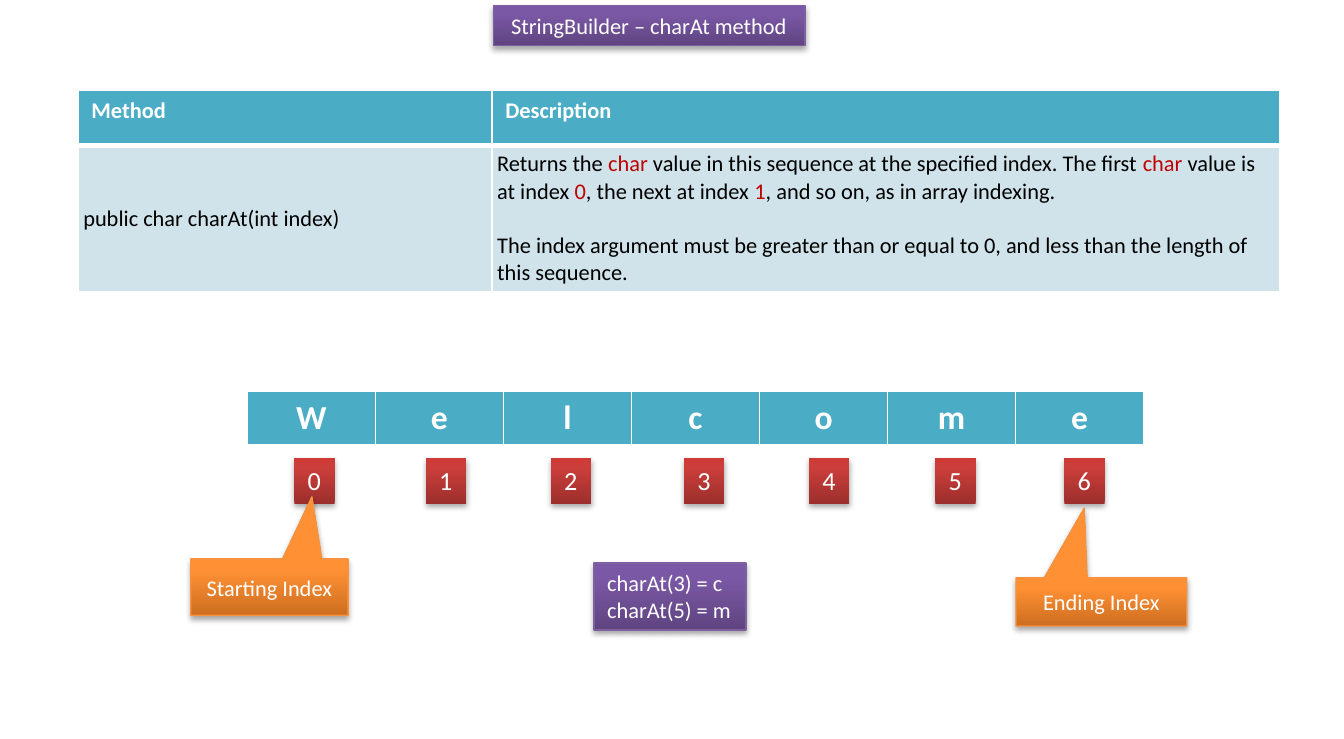
"""Build the slide that explains the charAt method of StringBuilder."""
from copy import deepcopy

from lxml.etree import fromstring
from pptx import Presentation
from pptx.dml.color import RGBColor as RGB
from pptx.enum.shapes import MSO_SHAPE as SHAPE
from pptx.enum.text import MSO_ANCHOR as ANCHOR, MSO_AUTO_SIZE as SIZE, PP_ALIGN as ALIGN
from pptx.oxml.ns import nsdecls, qn
from pptx.util import Inches, Pt

WHITE = RGB(0xFF, 0xFF, 0xFF)
BLACK = RGB(0, 0, 0)
RED = RGB(0xC0, 0, 0)
TEAL = RGB(0x4B, 0xAC, 0xC6)
PALE = RGB(0xD0, 0xE3, 0xEA)
PURPLE = [RGB(0x5F, 0x44, 0x80), RGB(0x7B, 0x58, 0xA6), RGB(0x7C, 0x57, 0xA8)]
BRICK = [RGB(0x9C, 0x2F, 0x2D), RGB(0xCB, 0x3E, 0x3A), RGB(0xCE, 0x3B, 0x37)]
ORANGE = [RGB(0xCC, 0x6E, 0x20), RGB(0xFF, 0x90, 0x34), RGB(0xFF, 0x91, 0x36)]
PURPLE_EDGE = RGB(0x7D, 0x60, 0xA0)
ORANGE_EDGE = RGB(0xF6, 0x92, 0x40)
STOPS = [0, 0.8, 1]

TITLE = "StringBuilder – charAt method"
HEADS = ["Method", "Description"]
METHOD = [["public char charAt(int index)"]]
ABOUT = [
    ["Returns the ", "char", " value in this sequence at the specified index. The first ",
     "char", " value is at index ", "0", ", the next at index ", "1",
     ", and so on, as in array indexing."],
    ["The index argument must be greater than or equal to 0, "
     "and less than the length of this sequence."],
]
WORD = "Welcome"
INDEX_X = [2.19, 3.17, 4.1, 5.09, 6.02, 6.96, 7.92]
CALLS = [["charAt(3) = c"], ["charAt(5) = m"]]
TIPS = [
    ("Starting Index", (1.42, 4.16, 1.17, 0.42), (0.27, -1.6)),
    ("Ending Index", (7.56, 4.3, 1.27, 0.36), (-0.1, -1.94)),
]

SMALL = {"name": "Calibri", "size": Pt(12), "bold": False}
HEAD = {**SMALL, "bold": True}
DIGIT = {**SMALL, "size": Pt(14)}
LETTER = {**HEAD, "size": Pt(18)}
TIGHT = {"auto_size": SIZE.SHAPE_TO_FIT_TEXT, "vertical_anchor": ANCHOR.TOP,
         "word_wrap": False}
FIXED = {"auto_size": SIZE.NONE, "vertical_anchor": ANCHOR.TOP, "word_wrap": True}
MIDDLE = {"vertical_anchor": ANCHOR.MIDDLE, "word_wrap": True}
INSET = {f"margin_{side}": Inches(0.04) for side in ("left", "top", "right", "bottom")}
BODY = {**INSET, "vertical_anchor": ANCHOR.MIDDLE}
HEAD_EDGES = {"lnL": 1, "lnR": 1, "lnT": 1, "lnB": 3}
BODY_EDGES = {"lnL": 1, "lnR": 1, "lnT": 3, "lnB": 1}

SHADOW = (f'<a:effectLst {nsdecls("a")}><a:outerShdw blurRad="40000" dist="23000" '
          'dir="5400000" rotWithShape="0"><a:srgbClr val="000000"><a:alpha val="35000"/>'
          '</a:srgbClr></a:outerShdw></a:effectLst>')


def apply(target, values):
    for key, value in values.items():
        setattr(target, key, value)


def write(frame, paras, font, color=WHITE, align=ALIGN.LEFT, gap=0):
    for i, parts in enumerate(paras):
        para = frame.add_paragraph() if i else frame.paragraphs[0]
        para.alignment = align
        if i and gap:
            para.space_before = Pt(gap)
        for j, part in enumerate(parts):
            run = para.add_run()
            run.text = part
            apply(run.font, font)
            run.font.color.rgb = RED if j % 2 else color


def paint(shape, shades, edge=None):
    fill = shape.fill
    fill.gradient()
    fill.gradient_angle = 90
    props = shape._element.spPr
    stops = props.find(".//" + qn("a:gsLst"))
    stops.append(deepcopy(stops[-1]))
    for stop, spot, shade in zip(fill.gradient_stops, STOPS, shades):
        stop.position = spot
        stop.color.rgb = shade
    if edge is None:
        shape.line.fill.background()
    else:
        shape.line.color.rgb = edge
        shape.line.width = Pt(0.75)
    props.append(fromstring(SHADOW))


def add_box(slide, kind, spot):
    return slide.shapes.add_shape(kind, *map(Inches, spot))


def add_grid(slide, spot, widths, heights):
    place = [Inches(n) for n in (*spot, sum(widths), sum(heights))]
    grid = slide.shapes.add_table(len(heights), len(widths), *place).table
    for col, width in zip(grid.columns, widths):
        col.width = Inches(width)
    for row, height in zip(grid.rows, heights):
        row.height = Inches(height)
    return grid


def fill_cell(cell, shade, edges, paras, font, **look):
    cell.fill.solid()
    cell.fill.fore_color.rgb = shade
    props = cell._tc.get_or_add_tcPr()
    for i, (tag, width) in enumerate(edges.items()):
        props.insert(i, fromstring(
            f'<a:{tag} {nsdecls("a")} w="{Pt(width)}"><a:solidFill>'
            f'<a:srgbClr val="{WHITE}"/></a:solidFill></a:{tag}>'))
    write(cell.text_frame, paras, font, **look)


def main():
    deck = Presentation()
    deck.slide_width, deck.slide_height = Inches(10), Inches(5.5)
    slide = deck.slides.add_slide(deck.slide_layouts[5])

    title = slide.shapes.title
    apply(title, {"left": Inches(3.67), "top": Inches(0.04),
                  "width": Inches(2.32), "height": Inches(0.3)})
    paint(title, PURPLE, PURPLE_EDGE)
    apply(title.text_frame, FIXED)
    write(title.text_frame, [[TITLE]], SMALL, align=ALIGN.CENTER)

    grid = add_grid(slide, (0.58, 0.67), [3.08, 5.86], [0.41, 1.07])
    for i, (head, paras) in enumerate(zip(HEADS, [METHOD, ABOUT])):
        fill_cell(grid.cell(0, i), TEAL, HEAD_EDGES, [[head]], HEAD)
        fill_cell(grid.cell(1, i), PALE, BODY_EDGES, paras, SMALL, color=BLACK, gap=14.5)
        apply(grid.cell(1, i), BODY)

    strip = add_grid(slide, (1.84, 2.91), [6.67 / len(WORD)] * len(WORD), [0.41])
    for i, (letter, x) in enumerate(zip(WORD, INDEX_X)):
        fill_cell(strip.cell(0, i), TEAL, HEAD_EDGES, [[letter]], LETTER, align=ALIGN.CENTER)
        box = add_box(slide, SHAPE.RECTANGLE, (x, 3.41, 0.3, 0.34))
        paint(box, BRICK)
        apply(box.text_frame, TIGHT)
        write(box.text_frame, [[str(i)]], DIGIT)

    for text, spot, point in TIPS:
        tip = add_box(slide, SHAPE.RECTANGULAR_CALLOUT, spot)
        tip.adjustments[0], tip.adjustments[1] = point
        paint(tip, ORANGE, ORANGE_EDGE)
        apply(tip.text_frame, MIDDLE)
        write(tip.text_frame, [[text]], SMALL, align=ALIGN.CENTER)

    calls = add_box(slide, SHAPE.RECTANGLE, (4.42, 4.19, 1.13, 0.5))
    paint(calls, PURPLE, PURPLE_EDGE)
    apply(calls.text_frame, TIGHT)
    write(calls.text_frame, CALLS, SMALL)

    deck.save("out.pptx")


if __name__ == "__main__":
    main()
